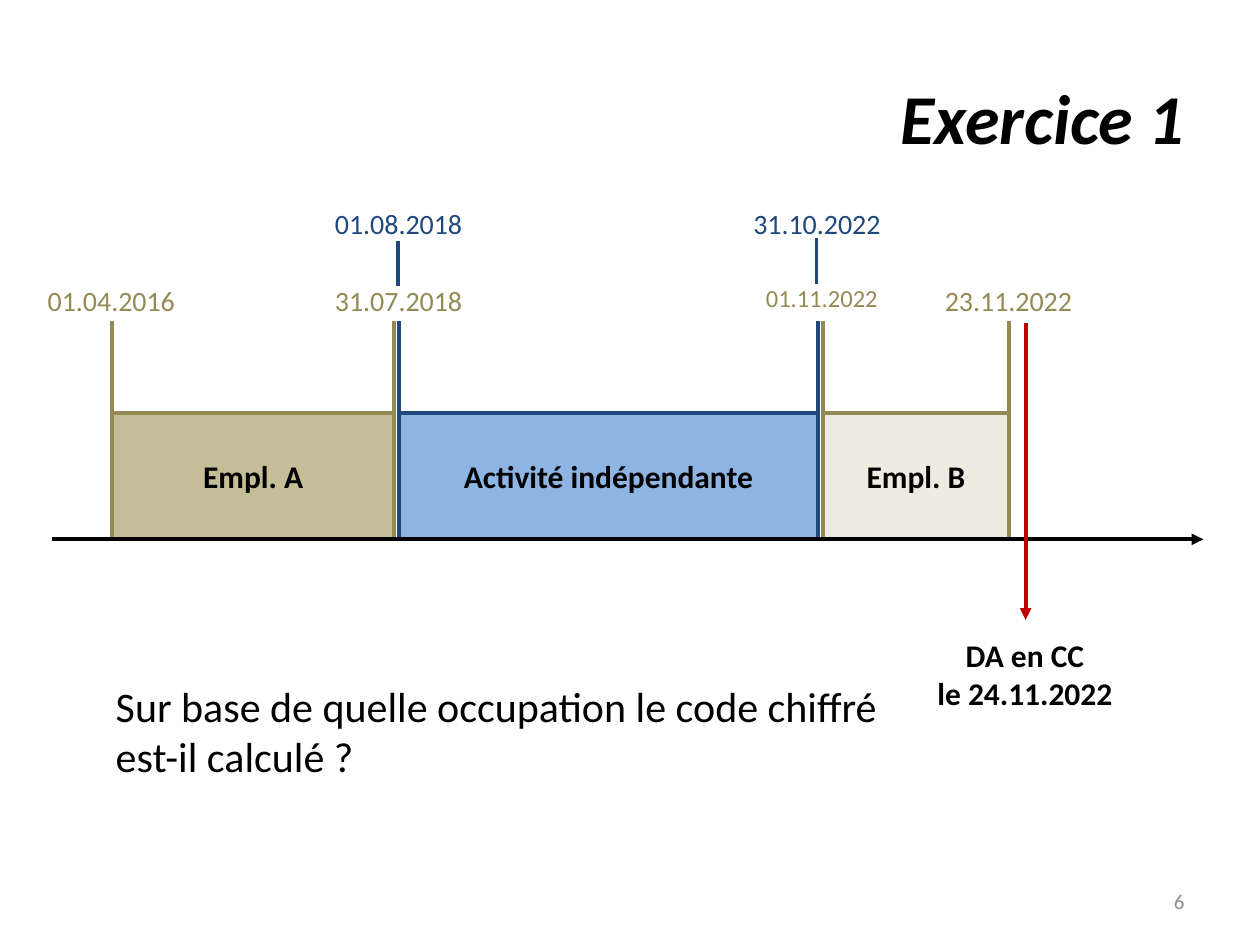
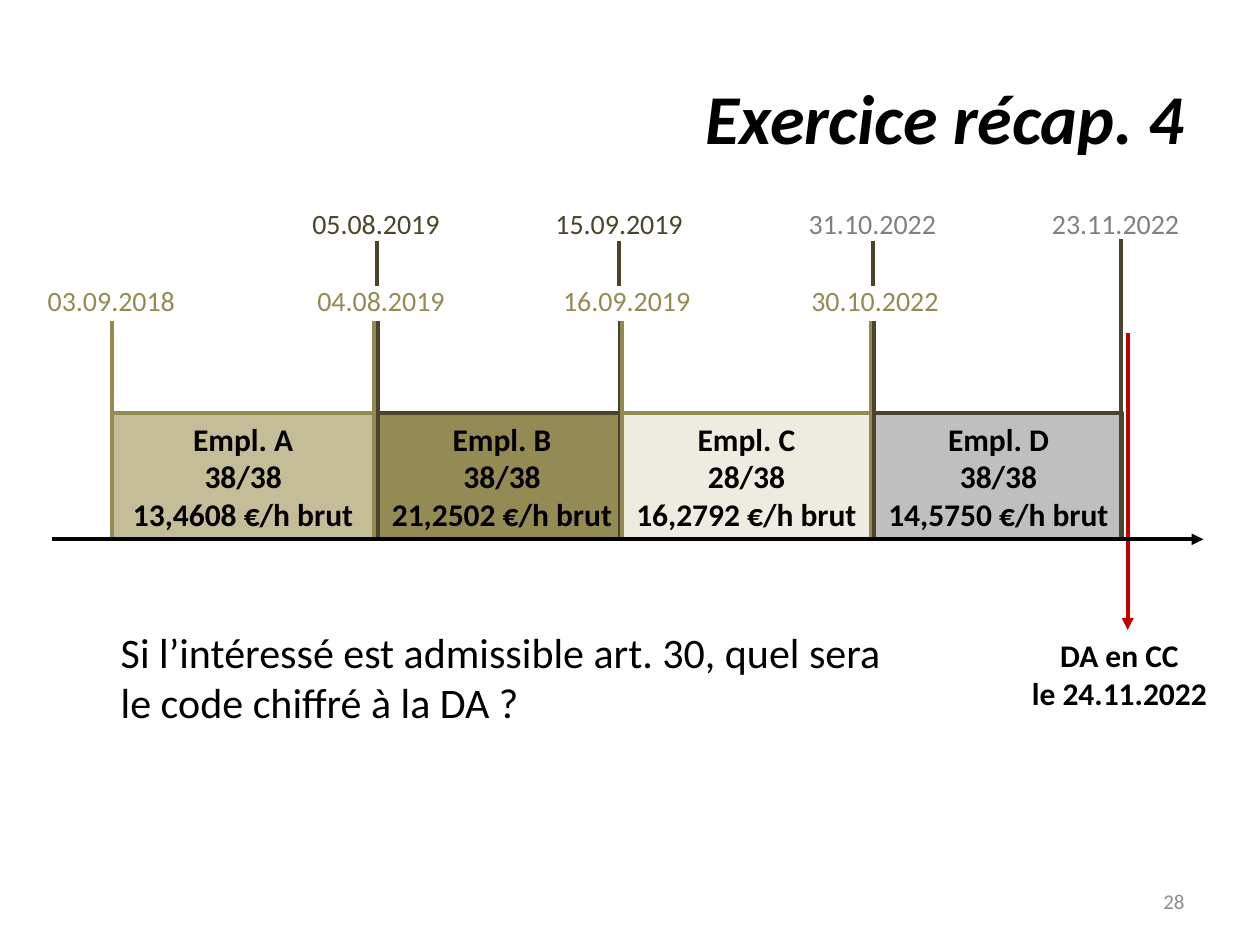
from lxml import etree
from pptx import Presentation
from pptx.dml.color import RGBColor
from pptx.enum.shapes import MSO_CONNECTOR as Connector, MSO_SHAPE as Shape
from pptx.enum.text import MSO_ANCHOR as Anchor, PP_ALIGN as Align
from pptx.oxml.ns import qn
from pptx.util import Inches, Pt

COLOURS = {
    "black": "000000", "grey": "8C8C8C", "mid grey": "808080",
    "light grey": "BFBFBF", "sand": "C4BD97", "cream": "EEECE1",
    "olive": "948A54", "dark olive": "4A452A",
    "blue": "1F497D", "light blue": "8EB4E3", "red": "C00000",
}
FONT = "Calibri"
TITLE_ONLY = 5

# Heights shared by both timelines
UPPER_DATES, LOWER_DATES = 1.59, 2.2
TICK_TOP, TICK_LENGTH = 1.91, 0.36
EDGE_TOP, PERIOD_TOP, AXIS = 2.55, 3.28, 4.28


def colour(name):
    return RGBColor.from_string(COLOURS[name])


def write(frame, text, size=18, ink="black", bold=False, italic=False,
          align=Align.LEFT, anchor=Anchor.TOP, wrap=True):
    """Fill a text frame, one paragraph per line of text."""
    frame.word_wrap = wrap
    frame.vertical_anchor = anchor
    for index, line in enumerate(text.split("\n")):
        para = frame.add_paragraph() if index else frame.paragraphs[0]
        para.alignment = align
        span = para.add_run()
        span.text = line
        font = span.font
        font.name, font.size = FONT, Pt(size)
        font.bold, font.italic = bold, italic
        font.color.rgb = colour(ink)


class TimelineDeck:
    """Holds the presentation, its style and the current slide."""

    def __init__(self):
        self.deck = Presentation()
        self.deck.slide_width = Inches(10)
        self.deck.slide_height = Inches(7.5)
        self.page = None

    def start(self, title, number):
        self.page = self.deck.slides.add_slide(self.deck.slide_layouts[TITLE_ONLY])
        heading = self.page.shapes.title
        heading.left, heading.top = Inches(0.5), Inches(0.3)
        heading.width, heading.height = Inches(9), Inches(1.25)
        write(heading.text_frame, title, size=40, bold=True, italic=True,
              align=Align.RIGHT, anchor=Anchor.MIDDLE)
        self.text(str(number), 7.17, 6.95, 2.33, 0.4, size=12, ink="grey",
                  align=Align.RIGHT, anchor=Anchor.MIDDLE)

    def text(self, text, left, top, width, height, **style):
        box = self.page.shapes.add_textbox(
            Inches(left), Inches(top), Inches(width), Inches(height))
        write(box.text_frame, text, **style)

    def line(self, x1, y1, x2, y2, ink, arrow=False):
        line = self.page.shapes.add_connector(
            Connector.STRAIGHT, Inches(x1), Inches(y1), Inches(x2), Inches(y2))
        line.line.color.rgb = colour(ink)
        line.line.width = Pt(2.25)
        if arrow:
            outline = line.line._get_or_add_ln()
            etree.SubElement(outline, qn("a:tailEnd"), type="triangle")
        etree.SubElement(line._element.spPr, qn("a:effectLst"))

    def period(self, label, left, width, fill, edge, end=None, end_top=EDGE_TOP):
        """A filled period with a tall line at its start and at its end."""
        box = self.page.shapes.add_shape(
            Shape.RECTANGLE, Inches(left), Inches(PERIOD_TOP), Inches(width), Inches(1))
        box.shadow.inherit = False
        box.fill.solid()
        box.fill.fore_color.rgb = colour(fill)
        box.line.color.rgb = colour(edge)
        box.line.width = Pt(2)
        frame = box.text_frame
        frame.margin_left = frame.margin_right = 0
        write(frame, label, bold=True, align=Align.CENTER, anchor=Anchor.MIDDLE)
        end = end or left + width
        for x, top in ((left, EDGE_TOP), (end, end_top)):
            self.line(x, top, x, AXIS, edge)

    def date(self, text, left, top, ink, size=16):
        self.text(text, left, top, 1.22, 0.37, size=size, ink=ink, wrap=False)

    def tick(self, x, ink, top=TICK_TOP):
        self.line(x, top, x, top + TICK_LENGTH, ink)

    def axis(self):
        self.line(0.41, AXIS, 9.55, AXIS, "black", arrow=True)

    def request(self, x, top, label_left):
        """The red arrow and the date of the benefit request."""
        self.line(x, top, x, top + 2.36, "red", arrow=True)
        self.text("DA en CC\nle 24.11.2022", label_left, 5, 1.65, 0.71,
                  bold=True, align=Align.CENTER)

    def question(self, text, left, top):
        self.text(text, left, top, 6.45, 0.91, size=24)


def exercise_1(show):
    show.start("Exercice 1", 6)
    # Periods
    show.period("Empl. A", 0.89, 2.24, "sand", "olive")
    show.period("Empl. B", 6.53, 1.48, "cream", "olive")
    show.period("Activité indépendante", 3.17, 3.32, "light blue", "blue")
    # Dates
    for text, left in (("01.04.2016", 0.28), ("31.07.2018", 2.56), ("23.11.2022", 7.4)):
        show.date(text, left, LOWER_DATES, "olive")
    show.date("01.11.2022", 5.98, LOWER_DATES, "olive", size=14)
    for text, left in (("01.08.2018", 2.56), ("31.10.2022", 5.88)):
        show.date(text, left, UPPER_DATES, "blue")
    show.tick(3.16, "blue")
    show.tick(6.48, "blue", top=1.89)
    # Axis, request and question
    show.axis()
    show.request(8.14, 2.56, 7.31)
    show.question("Sur base de quelle occupation le code chiffré est-il calculé ?",
                  0.82, 5.35)


def recap_exercise_4(show):
    show.start("Exercice récap. 4", 28)
    # Periods
    show.period("Empl. A\n38/38\n13,4608 €/h brut", 0.89, 2.08, "sand", "olive")
    show.period("Empl. B\n38/38\n21,2502 €/h brut", 3, 1.97, "olive", "dark olive",
                end=4.92)
    show.period("Empl. C\n28/38\n16,2792 €/h brut", 4.94, 1.97, "cream", "olive")
    show.period("Empl. D\n38/38\n14,5750 €/h brut", 6.94, 1.97, "light grey",
                "dark olive", end=8.9, end_top=1.9)
    # Dates
    for text, left in (("03.09.2018", 0.28), ("04.08.2019", 2.42),
                       ("16.09.2019", 4.37), ("30.10.2022", 6.34)):
        show.date(text, left, LOWER_DATES, "olive")
    for text, left, ink in (("05.08.2019", 2.38, "dark olive"),
                            ("15.09.2019", 4.31, "dark olive"),
                            ("31.10.2022", 6.32, "mid grey"),
                            ("23.11.2022", 8.25, "mid grey")):
        show.date(text, left, UPPER_DATES, ink)
    for x in (2.99, 4.91, 6.93):
        show.tick(x, "dark olive")
    # Request, axis and question
    show.request(8.95, 2.64, 8.06)
    show.axis()
    show.question("Si l’intéressé est admissible art. 30, quel sera "
                  "le code chiffré à la DA ?", 0.86, 4.92)


def main():
    show = TimelineDeck()
    exercise_1(show)
    recap_exercise_4(show)
    show.deck.save("out.pptx")


if __name__ == "__main__":
    main()
